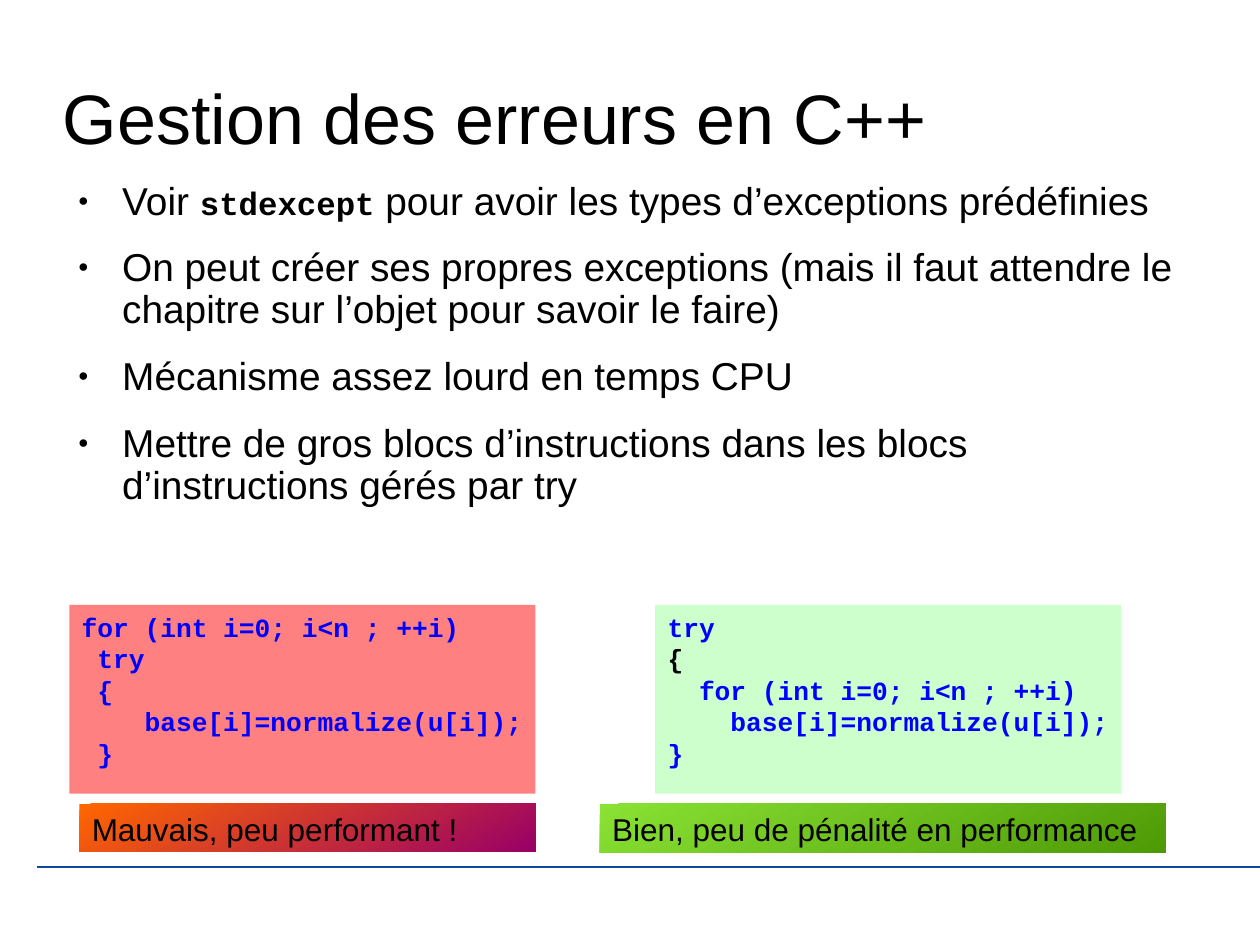
from lxml import etree
from pptx import Presentation
from pptx.dml.color import RGBColor
from pptx.enum.shapes import MSO_CONNECTOR, MSO_SHAPE
from pptx.enum.text import MSO_ANCHOR, PP_ALIGN
from pptx.oxml.ns import qn
from pptx.util import Inches, Pt

STRAIGHT = MSO_CONNECTOR.STRAIGHT
RECTANGLE = MSO_SHAPE.RECTANGLE
TOP, MIDDLE = MSO_ANCHOR.TOP, MSO_ANCHOR.MIDDLE
LEFT = PP_ALIGN.LEFT

BODY_FONT = "Arial"
CODE_FONT = "Courier New"
COLORS = {
    "text": "000000",
    "code": "0000FF",
    "rule": "11489C",
    "bad": "FF8080",
    "good": "CCFFCC",
    "bad_start": "FF6600",
    "bad_end": "990066",
    "good_start": "8AE234",
    "good_end": "4E9A06",
}

# Each bullet is a list of (text, is_code) runs.
BULLETS = [
    [("Voir ", False), ("stdexcept", True),
     (" pour avoir les types d’exceptions prédéfinies", False)],
    [("On peut créer ses propres exceptions (mais il faut attendre le "
      "chapitre sur l’objet pour savoir le faire)", False)],
    [("Mécanisme assez lourd en temps CPU", False)],
    [("Mettre de gros blocs d’instructions dans les blocs "
      "d’instructions gérés par try", False)],
]
# Each code line is (text, color name).
BAD_CODE = [
    ("for (int i=0; i<n ; ++i)", "code"),
    (" try", "code"),
    (" {", "code"),
    ("    base[i]=normalize(u[i]);", "code"),
    (" }", "code"),
]
GOOD_CODE = [
    ("try", "code"),
    ("{", "text"),
    ("  for (int i=0; i<n ; ++i)", "code"),
    ("    base[i]=normalize(u[i]);", "code"),
    ("}", "code"),
]


def rgb(name):
    return RGBColor.from_string(COLORS[name])


def style(font, size, name=BODY_FONT, color="text", bold=False):
    font.size = Pt(size)
    font.name = name
    font.bold = bold
    font.color.rgb = rgb(color)


def set_frame(text_frame, anchor, left=0, top=0, right=0, bottom=0):
    text_frame.word_wrap = True
    text_frame.vertical_anchor = anchor
    text_frame.margin_left, text_frame.margin_top = Inches(left), Inches(top)
    text_frame.margin_right, text_frame.margin_bottom = Inches(right), Inches(bottom)


def add_rule(slide):
    y = Inches(6.88)
    rule = slide.shapes.add_connector(STRAIGHT, Inches(0.29), y, Inches(10), y)
    rule.line.color.rgb = rgb("rule")
    rule.line.width = Pt(0.75)
    etree.SubElement(rule._element.spPr, qn("a:effectLst"))


def add_title(slide, text):
    box = slide.shapes.add_textbox(Inches(0.5), Inches(0.3), Inches(9), Inches(1.25))
    set_frame(box.text_frame, MIDDLE)
    box.text_frame.text = text
    style(box.text_frame.paragraphs[0].runs[0].font, 40)


def set_bullet(paragraph):
    properties = paragraph._p.get_or_add_pPr()
    properties.set("marL", str(Inches(0.47)))
    properties.set("indent", str(Inches(-0.35)))
    color = etree.SubElement(properties, qn("a:buClr"))
    etree.SubElement(color, qn("a:srgbClr"), val=COLORS["text"])
    etree.SubElement(properties, qn("a:buSzPct"), val="45000")
    etree.SubElement(properties, qn("a:buFont"), typeface=BODY_FONT)
    etree.SubElement(properties, qn("a:buChar"), char="●")


def add_bullets(slide, bullets):
    box = slide.shapes.add_textbox(Inches(0.5), Inches(1.44), Inches(9), Inches(3.05))
    text_frame = box.text_frame
    set_frame(text_frame, TOP)
    for index, runs in enumerate(bullets):
        paragraph = text_frame.add_paragraph() if index else text_frame.paragraphs[0]
        set_bullet(paragraph)
        paragraph.line_spacing = 0.9
        if index:
            paragraph.space_before = Pt(14.2)
        for text, is_code in runs:
            run = paragraph.add_run()
            run.text = text
            if is_code:
                style(run.font, 18.5, CODE_FONT, bold=True)
            else:
                style(run.font, 22.2)


def add_panel(slide, left, top, width, height, text):
    """Add a borderless rectangle with left-aligned text."""
    panel = slide.shapes.add_shape(
        RECTANGLE, Inches(left), Inches(top), Inches(width), Inches(height))
    panel.shadow.inherit = False
    panel.line.fill.background()
    # The narrow right inset keeps the longest code line whole.
    set_frame(panel.text_frame, TOP, 0.1, 0.05, 0.05, 0.05)
    panel.text_frame.text = text
    for paragraph in panel.text_frame.paragraphs:
        paragraph.alignment = LEFT
    return panel


def add_code(slide, left, fill, lines):
    text = "\n".join(line for line, _ in lines)
    panel = add_panel(slide, left, 4.8, 3.7, 1.5, text)
    panel.fill.solid()
    panel.fill.fore_color.rgb = rgb(fill)
    for paragraph, (_, color) in zip(panel.text_frame.paragraphs, lines):
        style(paragraph.runs[0].font, 15, CODE_FONT, color, bold=True)


def add_verdict(slide, left, width, height, text, gradient):
    panel = add_panel(slide, left, 6.38, width, height, text)
    panel.fill.gradient()
    panel.fill.gradient_angle = 300  # counter-clockwise
    for stop, color in zip(panel.fill.gradient_stops, gradient):
        stop.color.rgb = rgb(color)
    style(panel.text_frame.paragraphs[0].runs[0].font, 18)


def main():
    presentation = Presentation()
    presentation.slide_width = Inches(10)
    presentation.slide_height = Inches(7.5)
    slide = presentation.slides.add_slide(presentation.slide_layouts[6])
    add_rule(slide)
    add_title(slide, "Gestion des erreurs en C++")
    add_bullets(slide, BULLETS)
    add_code(slide, 0.55, "bad", BAD_CODE)
    add_code(slide, 5.2, "good", GOOD_CODE)
    add_verdict(slide, 0.63, 3.62, 0.38, "Mauvais, peu performant !",
                ("bad_start", "bad_end"))
    add_verdict(slide, 4.76, 4.49, 0.39, "Bien, peu de pénalité en performance",
                ("good_start", "good_end"))
    presentation.save("out.pptx")


if __name__ == "__main__":
    main()
